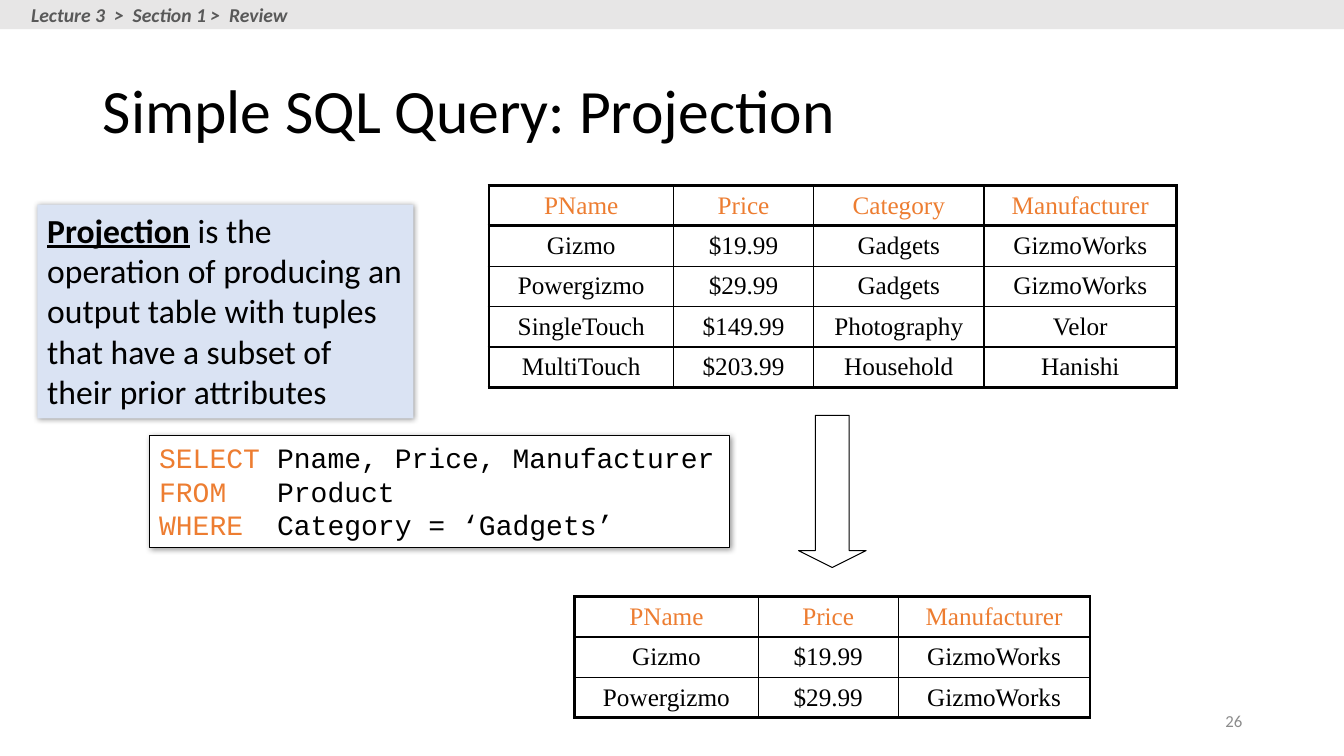
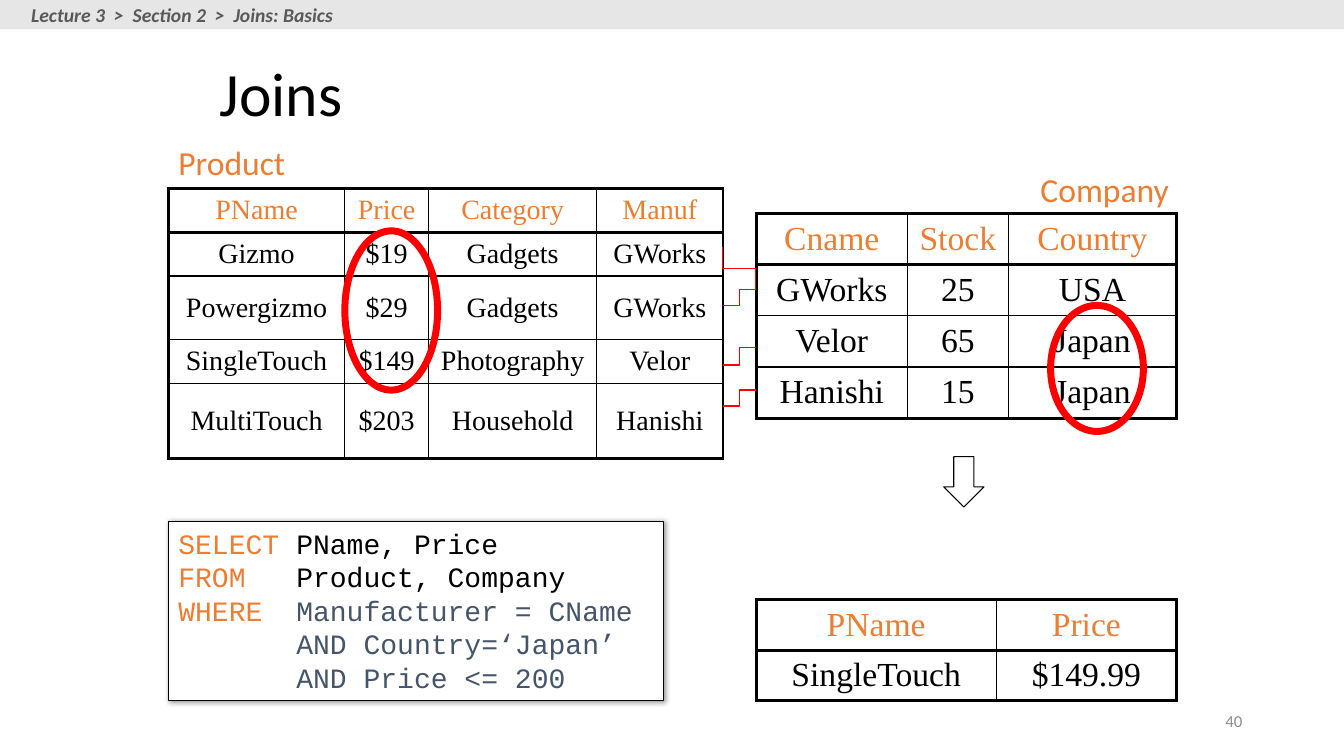
"""Build two lecture slides on SQL projection and joins."""
from dataclasses import dataclass
from lxml import etree
from pptx import Presentation
from pptx.dml.color import RGBColor
from pptx.enum.shapes import MSO_CONNECTOR as CONN, MSO_SHAPE as SHAPE
from pptx.enum.text import MSO_ANCHOR as ANCHOR, PP_ALIGN as ALIGN
from pptx.oxml import parse_xml
from pptx.oxml.ns import nsdecls, qn
from pptx.util import Inches, Pt


@dataclass(frozen=True)
class Theme:
    black: str = "000000"
    white: str = "FFFFFF"
    accent: str = "ED7D31"
    slate: str = "44546A"
    band: str = "E7E6E6"
    crumb: str = "595959"
    number: str = "8C8C8C"
    note: str = "DAE3F3"
    mark: str = "FF0000"
    sans: str = "Calibri"
    serif: str = "Times New Roman"
    mono: str = "Courier New"
    title_pt: int = 44
    body_pt: int = 24
    code_pt: int = 20
    crumb_pt: int = 14
    number_pt: int = 12
    thick: float = 2.25
    thin: float = 1
    hair: float = 0.75
    ring: float = 5


T = Theme()
SHADOW = (f'<a:outerShdw {nsdecls("a")} blurRad="50800" dist="12700" dir="2700000" '
          f'algn="tl" rotWithShape="0"><a:srgbClr val="{T.black}">'
          '<a:alpha val="40000"/></a:srgbClr></a:outerShdw>')


def put_text(tf, lines, size, name=T.sans, align=ALIGN.LEFT, anchor=ANCHOR.TOP, wrap=True):
    """Fill a text frame with paragraphs of (text, colour, extra font values) runs."""
    tf.word_wrap, tf.vertical_anchor = wrap, anchor
    for i, line in enumerate(lines):
        p = tf.paragraphs[0] if i == 0 else tf.add_paragraph()
        p.alignment = align
        for text, color, extra in line:
            r = p.add_run()
            r.text = text
            r.font.color.rgb = RGBColor.from_string(color)
            for key, value in {"size": Pt(size), "name": name, **extra}.items():
                setattr(r.font, key, value)


def add_box(s, kind, box, fill=None, line=None, width=T.hair, shadow=False):
    """Add a preset shape with a plain fill and outline."""
    sp = s.shapes.add_shape(kind, *map(Inches, box))
    sp.shadow.inherit = False
    if shadow:
        sp._element.spPr.find(qn("a:effectLst")).append(parse_xml(SHADOW))
    if fill:
        sp.fill.solid()
        sp.fill.fore_color.rgb = RGBColor.from_string(fill)
    else:
        sp.fill.background()
    if line:
        sp.line.color.rgb = RGBColor.from_string(line)
        sp.line.width = Pt(width)
    else:
        sp.line.fill.background()
    return sp


projection = {
    "number": "26",
    "crumb": ("Lecture 3  >  Section 1 >  Review", 2.79),
    "title": ("Simple SQL Query: Projection", (0.92, 0.4, 11.5, 1.45)),
    "tables": [
        (4.85, 1.84, 18, [1.83, 1.39, 1.69, 1.91], [0.4] * 5, [
            ["PName", "Price", "Category", "Manufacturer"],
            ["Gizmo", "$19.99", "Gadgets", "GizmoWorks"],
            ["Powergizmo", "$29.99", "Gadgets", "GizmoWorks"],
            ["SingleTouch", "$149.99", "Photography", "Velor"],
            ["MultiTouch", "$203.99", "Household", "Hanishi"]]),
        (5.7, 5.92, 18, [1.82, 1.39, 1.9], [0.38] * 3, [
            ["PName", "Price", "Manufacturer"],
            ["Gizmo", "$19.99", "GizmoWorks"],
            ["Powergizmo", "$29.99", "GizmoWorks"]]),
    ],
    "arrow": ((7.92, 4.12, 0.67, 1.51), 0.25),
    "code": ((1.48, 4.32, 5.76, 1.11), [
        ("SELECT", "Pname, Price, Manufacturer", T.black),
        ("FROM", "Product", T.black),
        ("WHERE", "Category = ‘Gadgets’", T.black)]),
}
joins = {
    "number": "40",
    "crumb": ("Lecture 3  >  Section 2  >  Joins: Basics", 3.23),
    "title": ("Joins", (2.08, 0.33, 9, 1.25)),
    "tables": [
        (1.67, 1.87, 20, [1.75, 0.83, 1.67, 1.25], [0.41, 0.41, 0.63, 0.42, 0.75], [
            ["PName", "Price", "Category", "Manuf"],
            ["Gizmo", "$19", "Gadgets", "GWorks"],
            ["Powergizmo", "$29", "Gadgets", "GWorks"],
            ["SingleTouch", "$149", "Photography", "Velor"],
            ["MultiTouch", "$203", "Household", "Hanishi"]]),
        (7.5, 2.12, 24, [1.5, 1, 1.67], [0.5] + [0.51] * 3, [
            ["Cname", "Stock", "Country"],
            ["GWorks", "25", "USA"],
            ["Velor", "65", "Japan"],
            ["Hanishi", "15", "Japan"]]),
        (7.5, 5.95, 24, [2.38, 1.79], [0.5] * 2, [
            ["PName", "Price"],
            ["SingleTouch", "$149.99"]]),
    ],
    "arrow": ((9.36, 4.53, 0.4, 0.5), 0.5),
    "code": ((1.67, 5.17, 4.91, 1.78), [
        ("SELECT", "PName, Price", T.black),
        ("FROM", "Product, Company", T.black),
        ("WHERE", "Manufacturer = CName", T.slate),
        ("", "AND Country=‘Japan’", T.slate),
        ("", "AND Price <= 200", T.slate)]),
}

prs = Presentation()
prs.slide_width, prs.slide_height = Inches(13.33), Inches(7.5)

for page in (projection, joins):
    s = prs.slides.add_slide(prs.slide_layouts[5])
    title, box = page["title"]
    sp = s.shapes.title
    sp.left, sp.top, sp.width, sp.height = map(Inches, box)
    put_text(sp.text_frame, [[(title, T.black, {})]], T.title_pt, anchor=ANCHOR.MIDDLE)
    sp.text_frame.paragraphs[0].line_spacing = 0.9

    add_box(s, SHAPE.RECTANGLE, (0, 0, 13.33, 0.29), T.band)
    crumb, width = page["crumb"]
    sp = s.shapes.add_textbox(*map(Inches, (0.21, -0.02, width, 0.34)))
    put_text(sp.text_frame, [[(crumb, T.crumb, {"bold": True, "italic": True})]],
             T.crumb_pt, wrap=False)
    sp = s.shapes.add_textbox(*map(Inches, (9.42, 6.95, 3, 0.4)))
    put_text(sp.text_frame, [[(page["number"], T.number, {})]], T.number_pt,
             align=ALIGN.RIGHT, anchor=ANCHOR.MIDDLE)

    for left, top, size, cols, rows, data in page["tables"]:
        table = s.shapes.add_table(len(rows), len(cols), *map(
            Inches, (left, top, sum(cols), sum(rows)))).table
        table.first_row = table.horz_banding = False
        for col, width in zip(table.columns, cols):
            col.width = Inches(width)
        for i, (row, height) in enumerate(zip(table.rows, rows)):
            row.height = Inches(height)
            for j, cell in enumerate(row.cells):
                edges = {"lnL": j == 0, "lnR": j == len(cols) - 1,
                         "lnT": i < 2, "lnB": i in (0, len(rows) - 1)}
                tc_pr = cell._tc.get_or_add_tcPr()
                for tag, heavy in edges.items():
                    ln = etree.SubElement(tc_pr, qn(f"a:{tag}"),
                                          w=str(Pt(T.thick if heavy else T.thin)))
                    fill = etree.SubElement(ln, qn("a:solidFill"))
                    etree.SubElement(fill, qn("a:srgbClr"), val=T.black)
                cell.fill.solid()
                cell.fill.fore_color.rgb = RGBColor.from_string(T.white)
                cell.vertical_anchor = ANCHOR.MIDDLE
                color = T.accent if i == 0 else T.black
                put_text(cell.text_frame, [[(data[i][j], color, {})]], size, T.serif,
                         ALIGN.CENTER, ANCHOR.MIDDLE)

    box, head = page["arrow"]
    arrow = add_box(s, SHAPE.DOWN_ARROW, box, line=T.black)
    arrow.adjustments[0], arrow.adjustments[1] = 0.5, head

    box, code = page["code"]
    sp = add_box(s, SHAPE.RECTANGLE, box, T.white, T.black, shadow=True)
    put_text(sp.text_frame, [[(word, T.accent, {}), ("\t" + rest, color, {})]
                             for word, rest, color in code], T.code_pt, T.mono)
    for p in sp.text_frame.paragraphs:
        tabs = etree.SubElement(p._p.get_or_add_pPr(), qn("a:tabLst"))
        etree.SubElement(tabs, qn("a:tab"), pos=str(Inches(1.17)), algn="l")

s = prs.slides[0]
note = add_box(s, SHAPE.RECTANGLE, (0.37, 2.03, 3.73, 2.12), T.note, shadow=True)
put_text(note.text_frame, [[
    ("Projection", T.black, {"bold": True, "underline": True}),
    (" is the operation of producing an output table with tuples that have "
     "a subset of their prior attributes", T.black, {})]], T.body_pt)

s = prs.slides[1]
for name, box in (("Product", (1.67, 1.36, 1.27, 0.5)), ("Company", (10.22, 1.63, 1.49, 0.5))):
    sp = s.shapes.add_textbox(*map(Inches, box))
    put_text(sp.text_frame, [[(name, T.accent, {})]], T.body_pt, wrap=False)

for ends, turn in (((7.54, 2.5, 7.12, 2.83), 270), ((7.17, 3.03, 7.5, 2.87), 0),
                   ((7.17, 3.62, 7.5, 3.45), 0), ((7.17, 4.03, 7.5, 3.87), 0)):
    link = s.shapes.add_connector(CONN.ELBOW, *map(Inches, ends))
    link.line.color.rgb = RGBColor.from_string(T.mark)
    link.line.width = Pt(T.thin)
    sp_pr = link._element.spPr
    etree.SubElement(sp_pr, qn("a:effectLst"))
    if turn:
        sp_pr.find(qn("a:xfrm")).set("rot", str(turn * 60000))

for box in ((3.42, 2.29, 0.92, 1.58), (10.42, 3.03, 0.92, 1.25)):
    add_box(s, SHAPE.OVAL, box, line=T.mark, width=T.ring)

prs.save("out.pptx")
